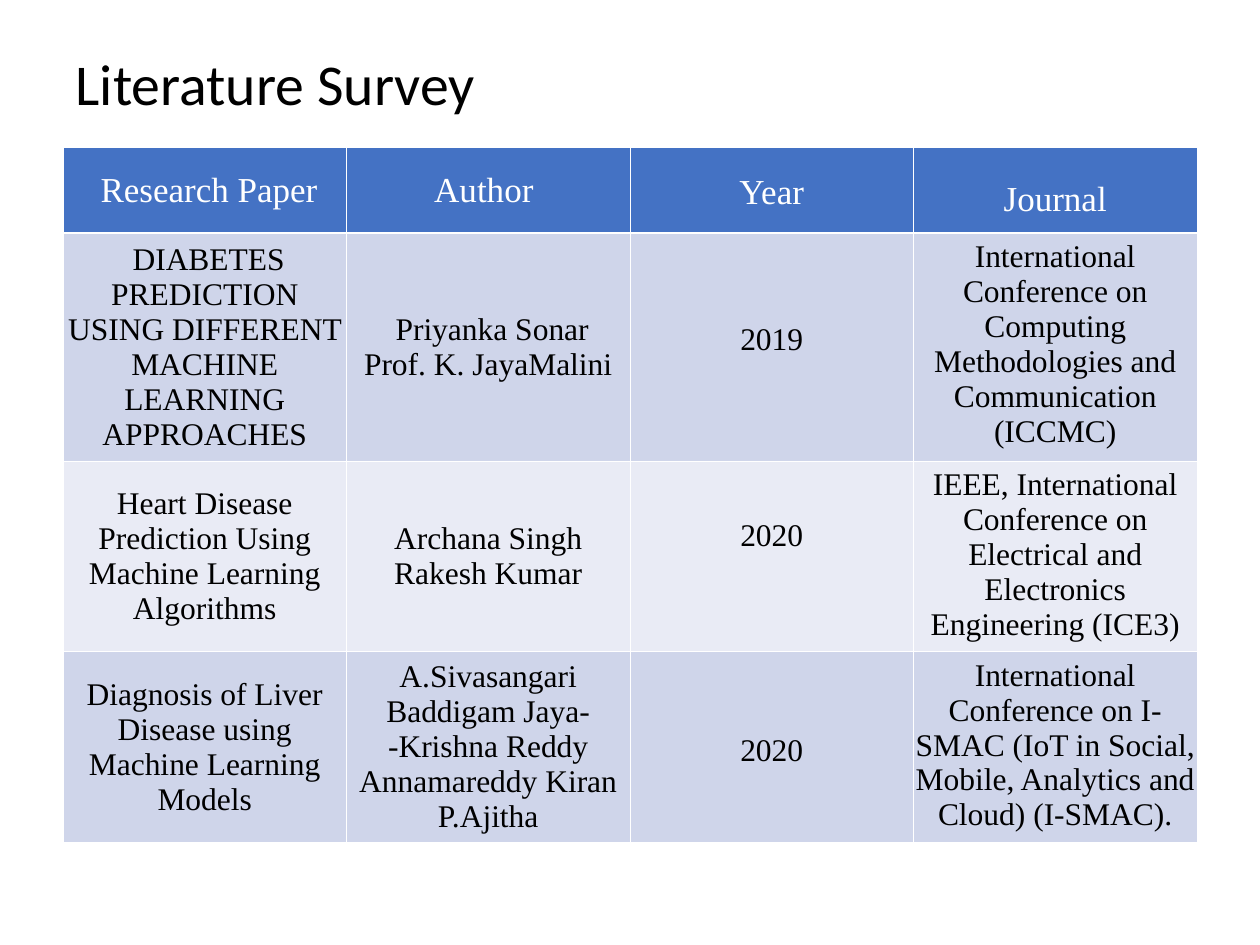
import pptx
import pptx.util
import pptx.dml.color
import pptx.enum.text
import pptx.oxml.ns
from lxml import etree

Cm = pptx.util.Cm
Pt = pptx.util.Pt
ANCHOR = pptx.enum.text.MSO_ANCHOR
ALIGN = pptx.enum.text.PP_ALIGN

TITLE = "Literature Survey"
ROWS = [
    [" Research Paper", "Author ", "Year", "Journal"],
    [
        " DIABETES PREDICTION USING DIFFERENT MACHINE LEARNING APPROACHES",
        " Priyanka Sonar\nProf. K. JayaMalini",
        "2019",
        "International Conference on Computing Methodologies and Communication (ICCMC)",
    ],
    [
        "Heart Disease Prediction Using Machine Learning Algorithms",
        "Archana Singh Rakesh Kumar",
        "2020",
        "IEEE, International Conference on Electrical and Electronics Engineering (ICE3)",
    ],
    [
        "Diagnosis of Liver Disease using Machine Learning Models",
        "A.Sivasangari\nBaddigam Jaya-\n-Krishna Reddy\nAnnamareddy Kiran P.Ajitha",
        "2020",
        "International Conference on I-SMAC (IoT in Social, Mobile, Analytics and Cloud) (I-SMAC).",
    ],
]
ROW_HEIGHTS = [1.73, 4.6, 3.84, 3.84]
YEAR_TOP_MARGINS = [0.13, 1.79, 1.15, 1.65]
ROW_FILLS = ["4472C4", "CFD5EA", "E9EBF5", "CFD5EA"]
YEAR, JOURNAL = 2, 3
LEFT, WIDTH = 1.27, 22.86
THIN, THICK = 0.45, 1.47


def color(value):
    return pptx.dml.color.RGBColor.from_string(value)


def add_borders(cell, widths):
    properties = cell._tc.get_or_add_tcPr()
    for side, width in widths.items():
        line = etree.SubElement(
            properties, pptx.oxml.ns.qn(f"a:ln{side}"), w=str(int(Pt(width)))
        )
        fill = etree.SubElement(line, pptx.oxml.ns.qn("a:solidFill"))
        etree.SubElement(fill, pptx.oxml.ns.qn("a:srgbClr"), val="FFFFFF")


def format_cell(cell, text, row, column):
    header = row == 0
    add_borders(cell, {
        "L": THIN,
        "R": THIN,
        "T": THICK if row == 1 else THIN,
        "B": THICK if header else THIN,
    })
    cell.fill.solid()
    cell.fill.fore_color.rgb = color(ROW_FILLS[row])
    cell.margin_left = cell.margin_right = Cm(0.02)
    cell.margin_top = Cm(YEAR_TOP_MARGINS[row] if column == YEAR else 0.13)
    cell.margin_bottom = Cm(0.13)
    at_top = column == YEAR or (column == JOURNAL and not header)
    cell.vertical_anchor = ANCHOR.TOP if at_top else ANCHOR.MIDDLE
    cell.text_frame.text = text
    for paragraph in cell.text_frame.paragraphs:
        paragraph.alignment = ALIGN.CENTER
        if header and column in (YEAR, JOURNAL):
            paragraph.line_spacing = 1.5
        paragraph.font.name = "Times New Roman"
        paragraph.font.size = Pt(20 if header else 18)
        paragraph.font.bold = False
        paragraph.font.color.rgb = color("FFFFFF" if header else "000000")


def add_title(slide):
    title = slide.shapes.title
    title.left, title.top = Cm(LEFT), Cm(0.76)
    title.width, title.height = Cm(WIDTH), Cm(1.98)
    frame = title.text_frame
    frame.text = TITLE
    frame.auto_size = pptx.enum.text.MSO_AUTO_SIZE.NONE
    frame.vertical_anchor = ANCHOR.MIDDLE
    paragraph = frame.paragraphs[0]
    paragraph.alignment = ALIGN.LEFT
    paragraph.line_spacing = 0.9
    paragraph.font.name = "Calibri"
    paragraph.font.size = Pt(33)
    paragraph.font.color.rgb = color("000000")


def add_survey_table(slide):
    columns = len(ROWS[0])
    table = slide.shapes.add_table(
        len(ROWS), columns, Cm(LEFT), Cm(2.97), Cm(WIDTH), Cm(sum(ROW_HEIGHTS))
    ).table
    for column in table.columns:
        column.width = Cm(WIDTH / columns)
    for row, texts in enumerate(ROWS):
        table.rows[row].height = Cm(ROW_HEIGHTS[row])
        for column, text in enumerate(texts):
            format_cell(table.cell(row, column), text, row, column)


def main():
    presentation = pptx.Presentation()
    presentation.slide_width = Cm(25.4)
    presentation.slide_height = Cm(19.05)
    slide = presentation.slides.add_slide(presentation.slide_layouts[5])
    add_title(slide)
    add_survey_table(slide)
    presentation.save("out.pptx")


if __name__ == "__main__":
    main()
